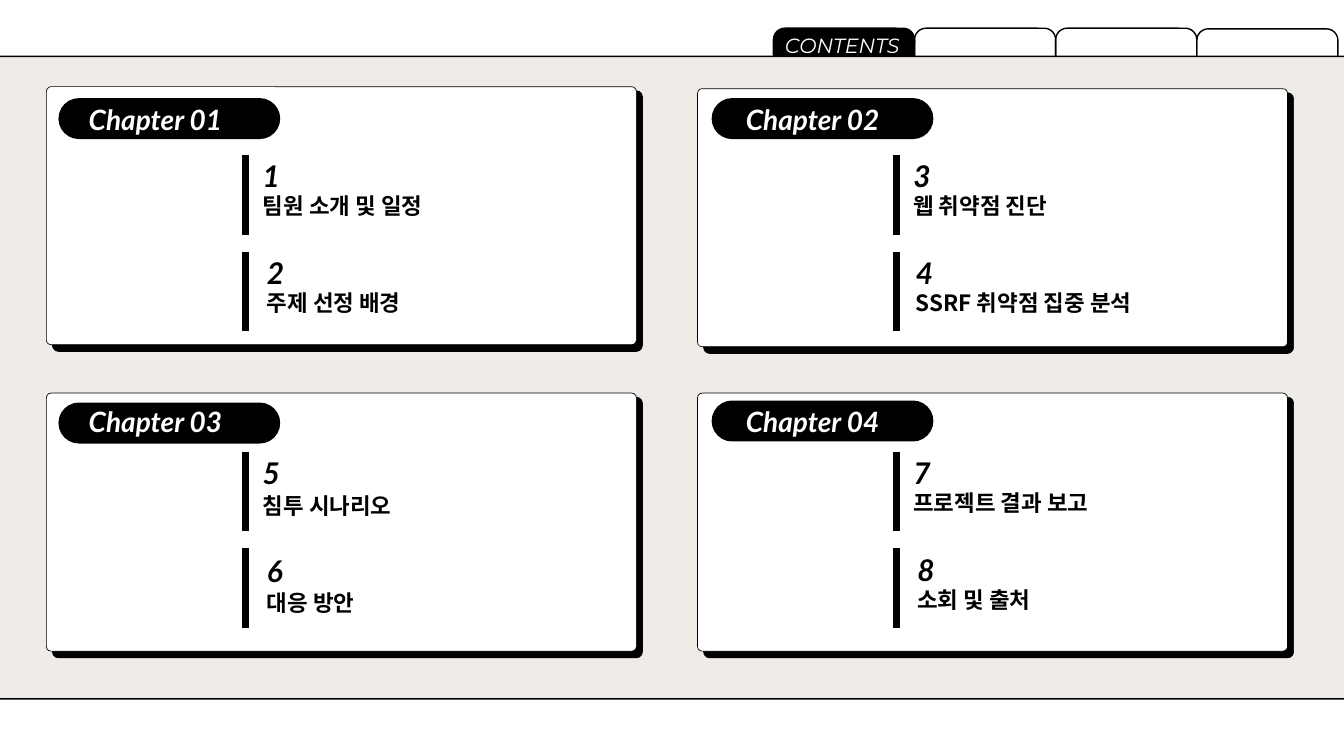
from typing import NamedTuple, Optional

from lxml.etree import SubElement
from pptx import Presentation
from pptx.dml.color import RGBColor
from pptx.enum.shapes import MSO_CONNECTOR, MSO_SHAPE
from pptx.enum.text import MSO_ANCHOR, MSO_AUTO_SIZE, PP_ALIGN
from pptx.oxml.ns import qn
from pptx.slide import Slide
from pptx.text.text import TextFrame
from pptx.util import Inches, Pt

COLORS = {"ink": "000000", "paper": "FFFFFF", "panel": "EFECE7"}


class Style(NamedTuple):
    font: str
    size: float
    leading: float
    color: str
    bold: bool
    italic: bool


TAB = Style("Montserrat", 22, 30.8, "paper", False, True)
CHAPTER = Style("Lato", 30, 42, "paper", True, True)
NUMBER = Style("Lato", 32, 44.8, "ink", True, True)
TOPIC = Style("Noto Sans CJK SC", 24, 33.6, "ink", True, False)


class Topic(NamedTuple):
    text: str
    left: float
    number_top: float
    text_top: float


class Chapter(NamedTuple):
    left: float
    top: float
    pill_left: float
    pill_top: float
    label_left: float
    label_top: float
    bar_top: float
    topics: tuple[Topic, Topic]


CHAPTERS = [
    Chapter(0.69, 1.29, 0.87, 1.46, 1.32, 1.44, 2.31,
            (Topic("팀원 소개 및 일정", 3.91, 2.26, 2.79),
             Topic("주제 선정 배경", 3.97, 3.7, 4.23))),
    Chapter(10.38, 1.32, 10.59, 1.46, 11.1, 1.44, 2.31,
            (Topic("웹 취약점 진단", 13.59, 2.26, 2.79),
             Topic("SSRF 취약점 집중 분석", 13.63, 3.7, 4.23))),
    Chapter(0.69, 5.85, 0.87, 5.99, 1.32, 5.94, 6.72,
            (Topic("침투 시나리오", 3.91, 6.67, 7.25),
             Topic("대응 방안", 3.97, 8.14, 8.7))),
    Chapter(10.38, 5.85, 10.59, 5.96, 11.1, 5.94, 6.72,
            (Topic("프로젝트 결과 보고", 13.59, 6.67, 7.21),
             Topic("소회 및 출처", 13.65, 8.12, 8.65))),
]


def rgb(name: str) -> RGBColor:
    """Return the named colour."""
    return RGBColor.from_string(COLORS[name])


def add_box(s: Slide, left: float, top: float, width: float, height: float,
            radius: float, fill: Optional[str], line: float = 0) -> None:
    """Add a rounded box with an optional fill and black outline."""
    sp = s.shapes.add_shape(MSO_SHAPE.ROUNDED_RECTANGLE, Inches(left),
                            Inches(top), Inches(width), Inches(height))
    sp.adjustments[0] = radius / height
    sp.shadow.inherit = False
    if fill:
        sp.fill.solid()
        sp.fill.fore_color.rgb = rgb(fill)
    else:
        sp.fill.background()
    if line:
        sp.line.color.rgb = rgb("ink")
        sp.line.width = Pt(line)
    else:
        sp.line.fill.background()


def add_bar(s: Slide, x: float, top: float, height: float) -> None:
    """Add the thick vertical line beside a topic."""
    cxn = s.shapes.add_connector(MSO_CONNECTOR.STRAIGHT, Inches(x), Inches(top),
                                 Inches(x), Inches(top + height))
    cxn.line.color.rgb = rgb("ink")
    cxn.line.width = Pt(7)
    SubElement(cxn._element.spPr, qn("a:effectLst"))


def write(tf: TextFrame, text: str, style: Style) -> None:
    """Fill a text frame with one styled line."""
    tf.margin_left = tf.margin_top = tf.margin_right = tf.margin_bottom = 0
    tf.word_wrap = True
    tf.auto_size = MSO_AUTO_SIZE.NONE
    tf.vertical_anchor = MSO_ANCHOR.TOP
    p = tf.paragraphs[0]
    p.text = text
    p.alignment = PP_ALIGN.LEFT
    p.line_spacing = Pt(style.leading)
    p.font.name = style.font
    p.font.size = Pt(style.size)
    p.font.bold = style.bold
    p.font.italic = style.italic
    p.font.color.rgb = rgb(style.color)
    latin = p._p.pPr.find(qn("a:defRPr")).find(qn("a:latin"))
    ea = latin.makeelement(qn("a:ea"), {"typeface": style.font})
    latin.addnext(ea)


def add_text(s: Slide, left: float, top: float, width: float, height: float,
             text: str, style: Style) -> None:
    """Add a text box with one styled line."""
    tb = s.shapes.add_textbox(Inches(left), Inches(top), Inches(width), Inches(height))
    write(tb.text_frame, text, style)


def add_tabs(s: Slide) -> None:
    """Add the row of folder tabs, the first one active."""
    for i in range(4):
        top = 0.43 if i == 3 else 0.42
        add_box(s, 11.51 + 2.1 * i, top, 2.1, 0.57, 0.17, None if i else "ink", 1.5)


def add_title(s: Slide) -> None:
    """Place the slide title on the active tab."""
    title = s.shapes.title
    title.left, title.top = Inches(11.68), Inches(0.43)
    title.width, title.height = Inches(2.21), Inches(0.41)
    write(title.text_frame, "CONTENTS", TAB)
    s.shapes._spTree.append(title._element)


def add_chapter(s: Slide, number: int, ch: Chapter) -> None:
    """Add a chapter card with its label and two topics."""
    add_box(s, ch.left + 0.09, ch.top + 0.06, 8.78, 3.88, 0.09, "ink", 0.75)
    add_box(s, ch.left, ch.top, 8.78, 3.84, 0.07, "paper", 0.75)
    add_box(s, ch.pill_left, ch.pill_top, 3.3, 0.61, 0.305, "ink")
    add_text(s, ch.label_left, ch.label_top, 3.36, 0.57, f"Chapter {number:02}", CHAPTER)
    for i, topic in enumerate(ch.topics):
        add_bar(s, ch.left + 2.96, ch.bar_top + 1.44 * i, 1.18)
        add_text(s, topic.left, topic.number_top, 0.78, 0.57,
                 str(2 * number - 1 + i), NUMBER)
        add_text(s, topic.left, topic.text_top, 4.9, 0.43, topic.text, TOPIC)


def main() -> None:
    """Build the contents slide."""
    prs = Presentation()
    prs.slide_width, prs.slide_height = Inches(20), Inches(11.25)
    s = prs.slides.add_slide(prs.slide_layouts[5])
    add_tabs(s)
    add_box(s, -1.44, 0.84, 22.52, 9.56, 0.06, "panel", 1.5)
    for number, ch in enumerate(CHAPTERS, start=1):
        add_chapter(s, number, ch)
    add_title(s)
    prs.save("out.pptx")


if __name__ == "__main__":
    main()
